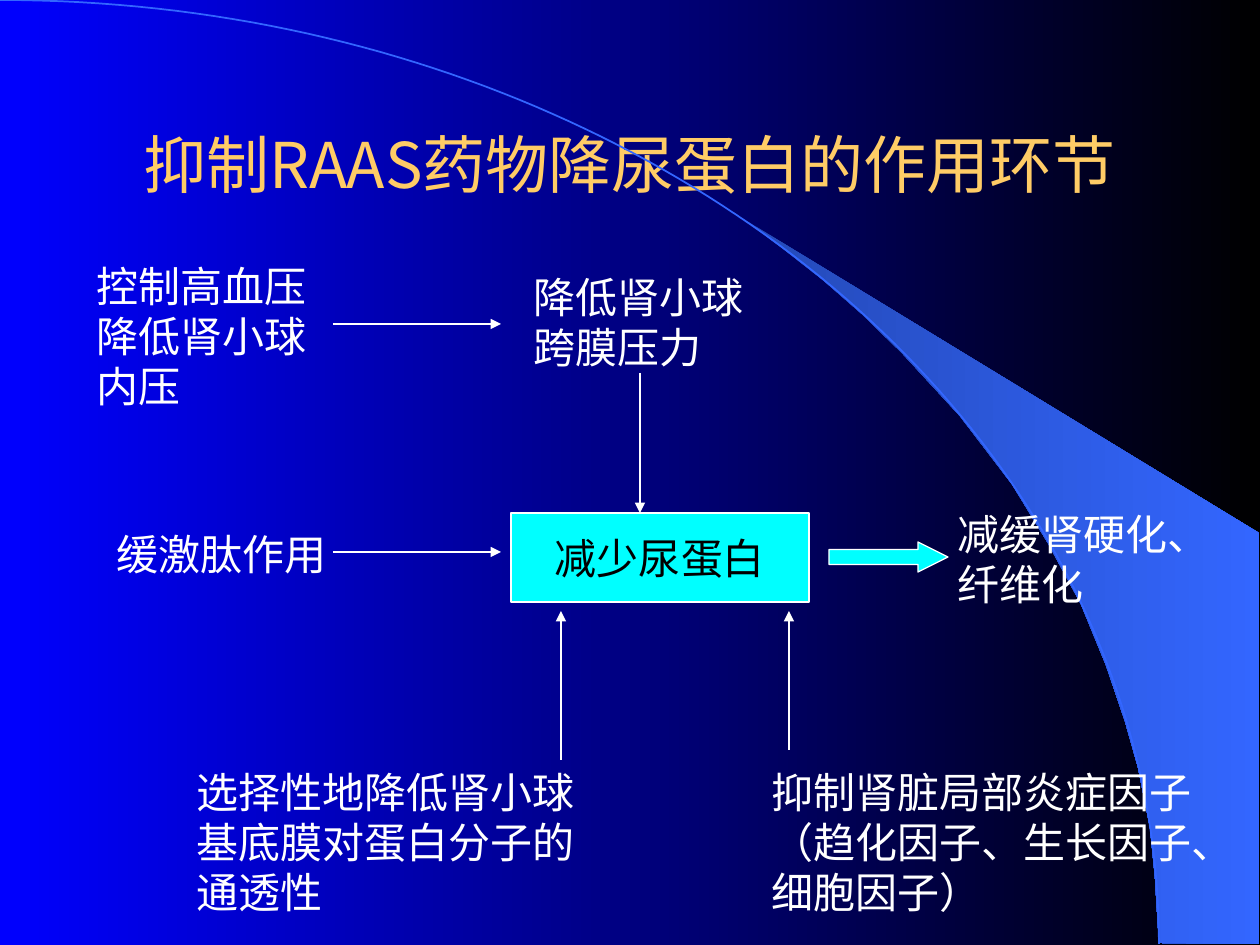
from dataclasses import dataclass

from lxml.etree import SubElement
from pptx import Presentation
from pptx.dml.color import RGBColor
from pptx.enum.lang import MSO_LANGUAGE_ID as Lang
from pptx.enum.shapes import MSO_CONNECTOR, MSO_SHAPE as Preset
from pptx.enum.text import MSO_ANCHOR as Anchor, MSO_AUTO_SIZE as AutoSize, PP_ALIGN as Align
from pptx.oxml.ns import qn
from pptx.util import Pt

PX = 914400 // 126


@dataclass(frozen=True)
class Theme:
    font: str = "Noto Sans CJK JP"
    title_size: int = 36
    body_size: int = 24
    title: str = "FFCC66"
    text: str = "FFFFFF"
    accent: str = "00FFFF"
    accent_text: str = "000000"
    backdrop: tuple = ("0000FF", "000000")
    beam: tuple = ("2449B6", "3366FF")
    curve: str = "3366FF"
    thin: float = 0.75
    curve_width: float = 1


THEME = Theme()
SLIDE_SIZE = (1260, 945)

TITLE = ("抑制RAAS药物降尿蛋白的作用环节", (94, 84, 1071, 158))
OUTCOME = ("减少尿蛋白", (511, 513, 298, 89))
FACTORS = [
    (["控制高血压", "降低肾小球内压"], (84, 254, 262, 164)),
    (["降低肾小球跨膜压力"], (521, 265, 274, 115)),
    (["缓激肽作用"], (104, 522, 261, 63)),
    (["减缓肾硬化、纤维化"], (945, 502, 297, 113)),
    (["选择性地降低肾小球基底膜对蛋白分子的通透性"], (184, 760, 431, 165)),
    (["抑制肾脏局部炎症因子（趋化因子、生长因子、细胞因子）"], (759, 760, 466, 165)),
]
ARROWS = [
    ((333, 324), (501, 324)),
    ((640, 373), (640, 513)),
    ((333, 552), (501, 552)),
    ((561, 760), (561, 611)),
    ((789, 750), (789, 611)),
]
RESULT_ARROW = (829, 542, 119, 30)

CURVE = ((0, 0), (640, 0), (1159, 422), (1159, 944))
BEAM = [
    (1159, 943), (1259, 944), (1259, 533), (742, 218), (786, 251), (823, 280),
    (863, 315), (902, 353), (960, 416), (1012, 484), (1048, 543), (1081, 604),
    (1106, 665), (1125, 721), (1138, 767), (1150, 827), (1155, 877),
]


def emu(lengths):
    return [length * PX for length in lengths]


def rgb(value):
    return RGBColor.from_string(value)


def paint_gradient(fill, colours):
    fill.gradient()
    fill.gradient_angle = 0
    for stop, colour in zip(fill.gradient_stops, colours):
        stop.color.rgb = rgb(colour)


def paint_solid(part, colour):
    part.fill.solid()
    part.fill.fore_color.rgb = rgb(colour)


def draw_line(part, colour, width):
    part.line.color.rgb = rgb(colour)
    part.line.width = Pt(width)


def bezier(controls, steps=96):
    for step in range(steps + 1):
        t = step / steps
        weights = ((1 - t) ** 3, 3 * t * (1 - t) ** 2, 3 * t * t * (1 - t), t ** 3)
        yield tuple(sum(w * p[axis] for w, p in zip(weights, controls)) for axis in (0, 1))


def outline(slide, points, close):
    start, *rest = [tuple(emu(point)) for point in points]
    builder = slide.shapes.build_freeform(*start)
    builder.add_line_segments(rest, close=close)
    part = builder.convert_to_shape()
    part.shadow.inherit = False
    return part


def write(frame, lines, size, colour, align=Align.LEFT):
    for index, line in enumerate(lines):
        paragraph = frame.paragraphs[0] if index == 0 else frame.add_paragraph()
        paragraph.alignment = align
        run = paragraph.add_run()
        run.text = line
        run.font.size = Pt(size)
        run.font.color.rgb = rgb(colour)
        run.font.name = THEME.font
        run.font.language_id = Lang.SIMPLIFIED_CHINESE
        SubElement(run.font._element, qn("a:ea"), typeface=THEME.font)


def add_backdrop(slide):
    paint_gradient(slide.background.fill, THEME.backdrop)
    beam = outline(slide, BEAM, True)
    paint_gradient(beam.fill, THEME.beam)
    beam.line.fill.background()
    curve = outline(slide, bezier(CURVE), False)
    curve.fill.background()
    draw_line(curve, THEME.curve, THEME.curve_width)


def add_title(slide):
    wording, place = TITLE
    title = slide.shapes.title
    title.left, title.top, title.width, title.height = emu(place)
    frame = title.text_frame
    frame.auto_size = AutoSize.NONE
    frame.vertical_anchor = Anchor.MIDDLE
    write(frame, [wording], THEME.title_size, THEME.title, Align.CENTER)


def add_accent(slide, preset, place):
    part = slide.shapes.add_shape(preset, *emu(place))
    part.shadow.inherit = False
    paint_solid(part, THEME.accent)
    draw_line(part, THEME.text, THEME.thin)
    return part


def add_factor(slide, lines, place):
    frame = slide.shapes.add_textbox(*emu(place)).text_frame
    frame.word_wrap = True
    frame.auto_size = AutoSize.SHAPE_TO_FIT_TEXT
    write(frame, lines, THEME.body_size, THEME.text)


def add_arrow(slide, start, end):
    arrow = slide.shapes.add_connector(MSO_CONNECTOR.STRAIGHT, *emu(start + end))
    draw_line(arrow, THEME.text, THEME.thin)
    SubElement(arrow.line._get_or_add_ln(), qn("a:tailEnd"), type="triangle")
    SubElement(arrow._element.spPr, qn("a:effectLst"))


def main():
    deck = Presentation()
    deck.slide_width, deck.slide_height = emu(SLIDE_SIZE)
    slide = deck.slides.add_slide(deck.slide_layouts[5])

    add_backdrop(slide)
    add_title(slide)

    wording, place = OUTCOME
    outcome = add_accent(slide, Preset.FLOWCHART_PROCESS, place)
    outcome.text_frame.word_wrap = False
    outcome.text_frame.vertical_anchor = Anchor.MIDDLE
    write(outcome.text_frame, [wording], THEME.body_size, THEME.accent_text, Align.CENTER)

    for lines, place in FACTORS:
        add_factor(slide, lines, place)
    for start, end in ARROWS:
        add_arrow(slide, start, end)

    result = add_accent(slide, Preset.RIGHT_ARROW, RESULT_ARROW)
    result.adjustments[0] = 0.5
    result.adjustments[1] = 1

    deck.save("out.pptx")


if __name__ == "__main__":
    main()
